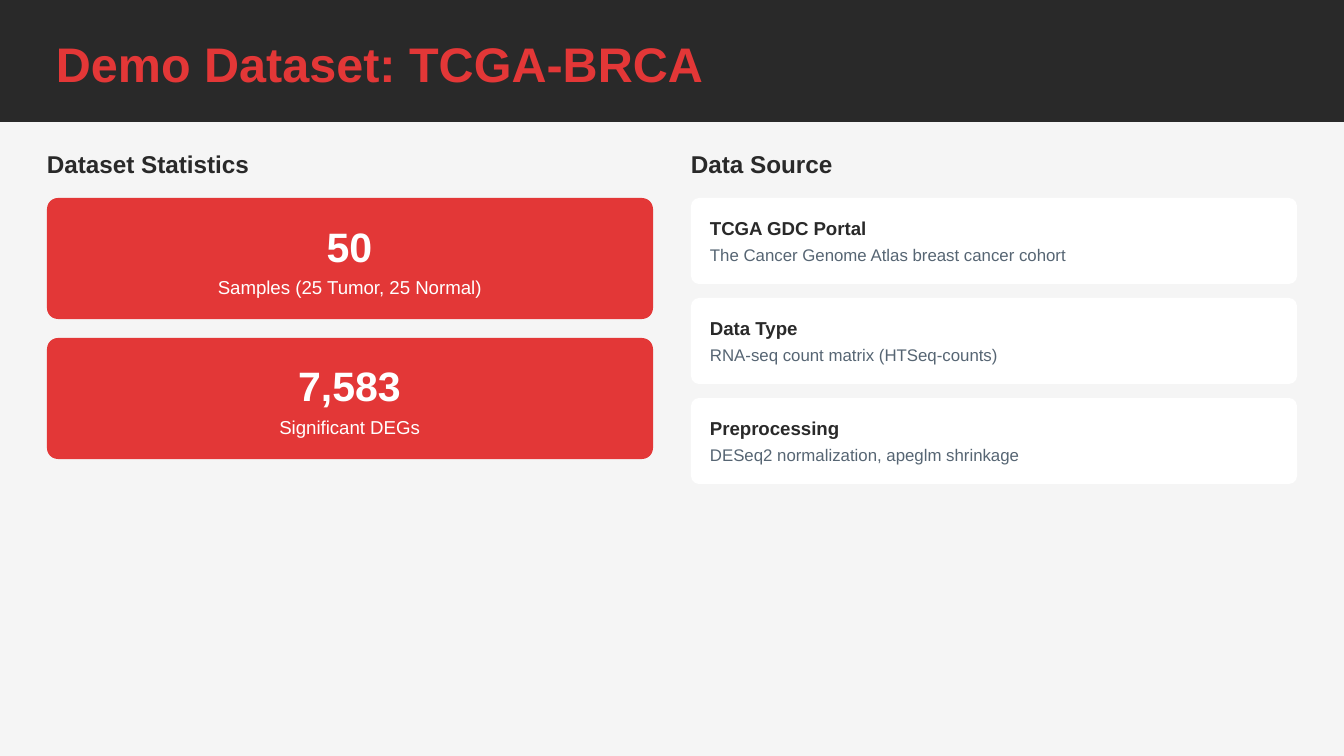
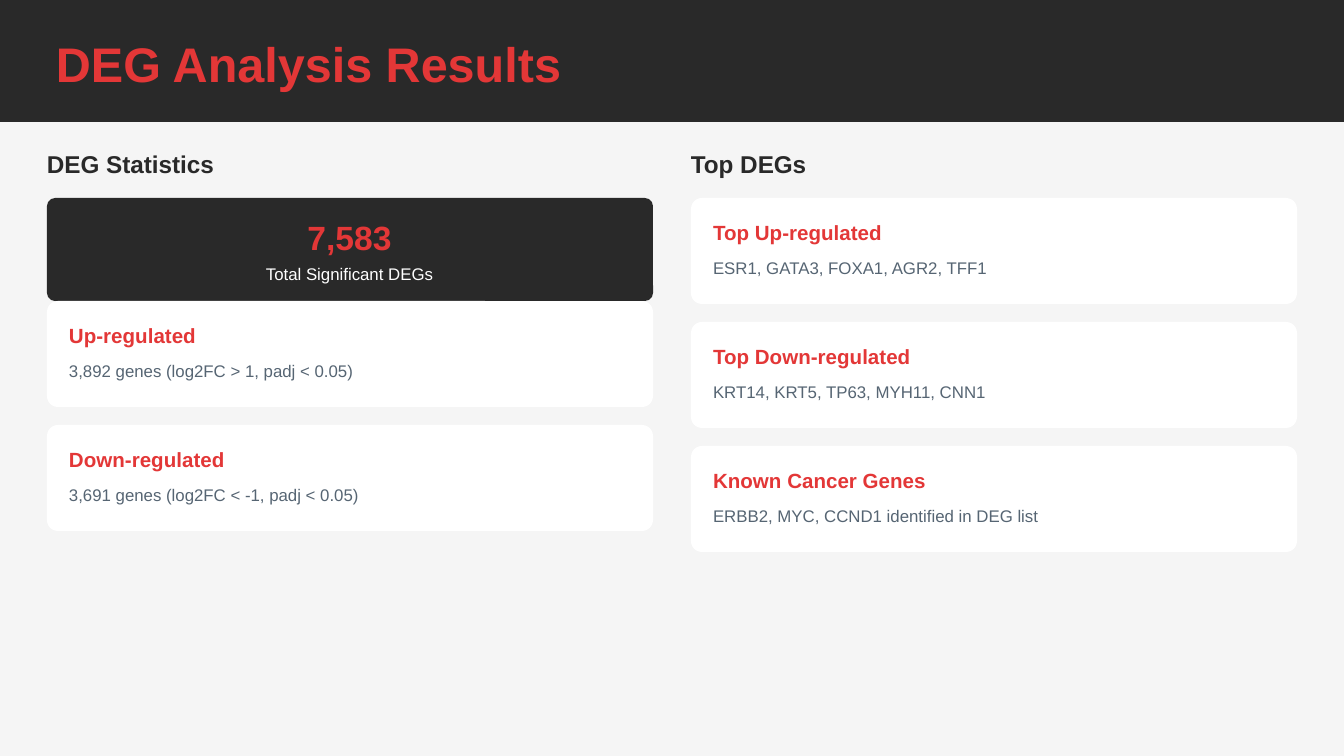
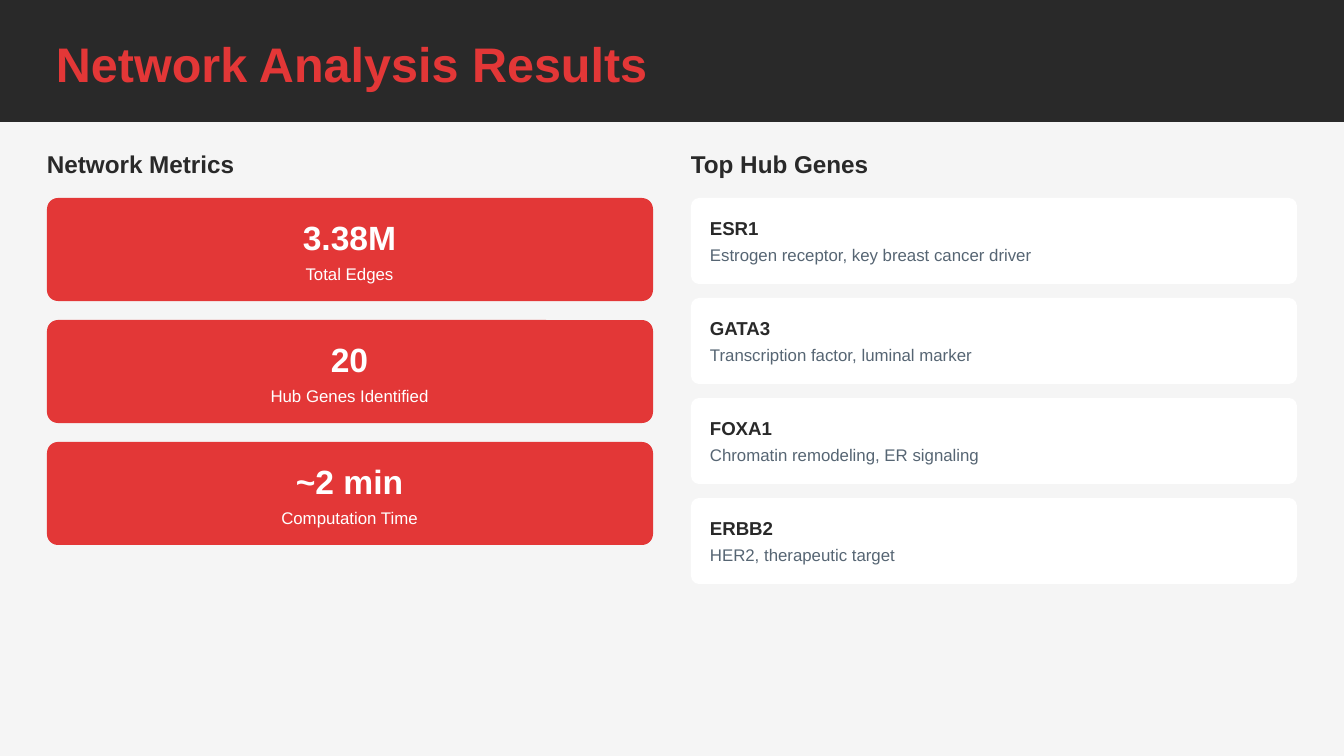
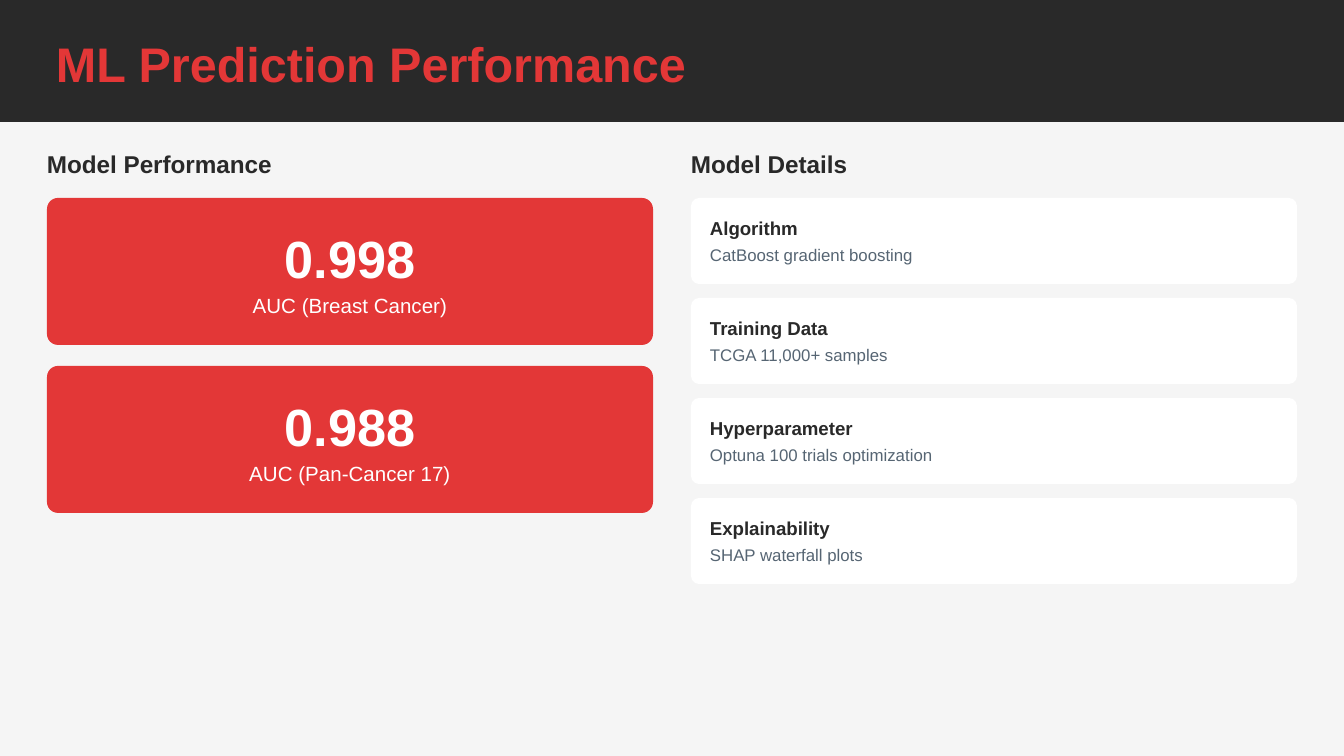
from collections import namedtuple

from pptx import Presentation
from pptx.dml.color import RGBColor
from pptx.enum.shapes import MSO_SHAPE as SHAPE
from pptx.enum.text import PP_ALIGN as ALIGN
from pptx.util import Pt

SLIDES = [
    ("Demo Dataset: TCGA-BRCA",
     ("Dataset Statistics", [
         ("stat", "50", "Samples (25 Tumor, 25 Normal)"),
         ("stat", "7,583", "Significant DEGs"),
     ]),
     ("Data Source", [
         ("detail", "TCGA GDC Portal", "The Cancer Genome Atlas breast cancer cohort"),
         ("detail", "Data Type", "RNA-seq count matrix (HTSeq-counts)"),
         ("detail", "Preprocessing", "DESeq2 normalization, apeglm shrinkage"),
     ])),
    ("DEG Analysis Results",
     ("DEG Statistics", [
         ("total", "7,583", "Total Significant DEGs"),
         ("panel", "Up-regulated", "3,892 genes (log2FC > 1, padj < 0.05)"),
         ("panel", "Down-regulated", "3,691 genes (log2FC < -1, padj < 0.05)"),
     ]),
     ("Top DEGs", [
         ("panel", "Top Up-regulated", "ESR1, GATA3, FOXA1, AGR2, TFF1"),
         ("panel", "Top Down-regulated", "KRT14, KRT5, TP63, MYH11, CNN1"),
         ("panel", "Known Cancer Genes", "ERBB2, MYC, CCND1 identified in DEG list"),
     ])),
    ("Network Analysis Results",
     ("Network Metrics", [
         ("metric", "3.38M", "Total Edges"),
         ("metric", "20", "Hub Genes Identified"),
         ("metric", "~2 min", "Computation Time"),
     ]),
     ("Top Hub Genes", [
         ("detail", "ESR1", "Estrogen receptor, key breast cancer driver"),
         ("detail", "GATA3", "Transcription factor, luminal marker"),
         ("detail", "FOXA1", "Chromatin remodeling, ER signaling"),
         ("detail", "ERBB2", "HER2, therapeutic target"),
     ])),
    ("ML Prediction Performance",
     ("Model Performance", [
         ("score", "0.998", "AUC (Breast Cancer)"),
         ("score", "0.988", "AUC (Pan-Cancer 17)"),
     ]),
     ("Model Details", [
         ("detail", "Algorithm", "CatBoost gradient boosting"),
         ("detail", "Training Data", "TCGA 11,000+ samples"),
         ("detail", "Hyperparameter", "Optuna 100 trials optimization"),
         ("detail", "Explainability", "SHAP waterfall plots"),
     ])),
]

FONT = "Arial"
DARK, RED, PALE, WHITE, GRAY = "292929", "E33737", "F5F5F5", "FFFFFF", "566573"

PX = 914400 / 134.4
SLIDE_W, SLIDE_H = 1344, 756
BAND_H = 122
COLUMNS = (47, 691)
CARD_W = 606
CARD_TOP = 198

Line = namedtuple("Line", "dy height size color bold after before spacing",
                  defaults=(False, 0, 0, None))
Card = namedtuple("Card", "height gap radius fill inset text_w align head body")

METRIC = Card(103, 19, 11, RED, 12, 581, ALIGN.CENTER,
              Line(19, 39, 18, WHITE, True, 4), Line(66, 20, 9, WHITE))
CARDS = {
    "stat": Card(121, 19, 11, RED, 16, 573, ALIGN.CENTER,
                 Line(23, 47, 22, WHITE, True, 4), Line(78, 22, 10, WHITE)),
    "metric": METRIC,
    "total": METRIC._replace(gap=0, radius=8, fill=DARK,
                             head=METRIC.head._replace(color=RED)),
    "score": Card(147, 21, 11, RED, 22, 562, ALIGN.CENTER,
                  Line(28, 60, 28, WHITE, True, 4), Line(95, 23, 11, WHITE)),
    "panel": Card(106, 18, 11, WHITE, 22, 573, ALIGN.LEFT,
                  Line(22, 23, 11, RED, True, 6),
                  Line(56, 23, 9, GRAY, False, 2, 2, 12.6)),
    "detail": Card(86, 14, 8, WHITE, 19, 581, ALIGN.LEFT,
                   Line(19, 22, 10, DARK, True, 4), Line(47, 20, 9, GRAY)),
}
TITLE = Line(34, 55, 26, RED, True)
HEADING = Line(149, 30, 13, DARK, True, 10)


def px(*lengths):
    return [round(n * PX) for n in lengths]


def rgb(color):
    return RGBColor.from_string(color)


def add_box(s, kind, x, y, w, h, color):
    sp = s.shapes.add_shape(kind, *px(x, y, w, h))
    sp.shadow.inherit = False
    sp.fill.solid()
    sp.fill.fore_color.rgb = rgb(color)
    sp.line.fill.background()
    return sp


def add_text(s, text, x, top, w, line, align=ALIGN.LEFT):
    tf = s.shapes.add_textbox(*px(x, top + line.dy, w, line.height)).text_frame
    tf.word_wrap = True
    tf.margin_left = tf.margin_top = tf.margin_right = tf.margin_bottom = 0
    p = tf.paragraphs[0]
    p.text = text
    p.alignment = align
    p.space_before, p.space_after = Pt(line.before), Pt(line.after)
    if line.spacing:
        p.line_spacing = Pt(line.spacing)
    font = p.runs[0].font
    font.name, font.size, font.bold = FONT, Pt(line.size), line.bold
    font.color.rgb = rgb(line.color)


def add_card(s, card, head, body, x, y):
    sp = add_box(s, SHAPE.ROUNDED_RECTANGLE, x, y, CARD_W, card.height, card.fill)
    sp.adjustments[0] = card.radius / card.height
    for text, line in ((head, card.head), (body, card.body)):
        add_text(s, text, x + card.inset, y, card.text_w, line, card.align)


def add_column(s, heading, cards, x):
    add_text(s, heading, x, 0, 618, HEADING)
    y = CARD_TOP
    for kind, head, body in cards:
        card = CARDS[kind]
        add_card(s, card, head, body, x, y)
        y += card.height + card.gap


def main():
    prs = Presentation()
    prs.slide_width, prs.slide_height = px(SLIDE_W, SLIDE_H)
    for title, *columns in SLIDES:
        s = prs.slides.add_slide(prs.slide_layouts[6])
        s.background.fill.solid()
        s.background.fill.fore_color.rgb = rgb(PALE)
        add_box(s, SHAPE.RECTANGLE, 0, 0, SLIDE_W, BAND_H, DARK)
        add_text(s, title, 56, 0, 1257, TITLE)
        for x, (heading, cards) in zip(COLUMNS, columns):
            add_column(s, heading, cards, x)
    prs.save("out.pptx")


if __name__ == "__main__":
    main()
